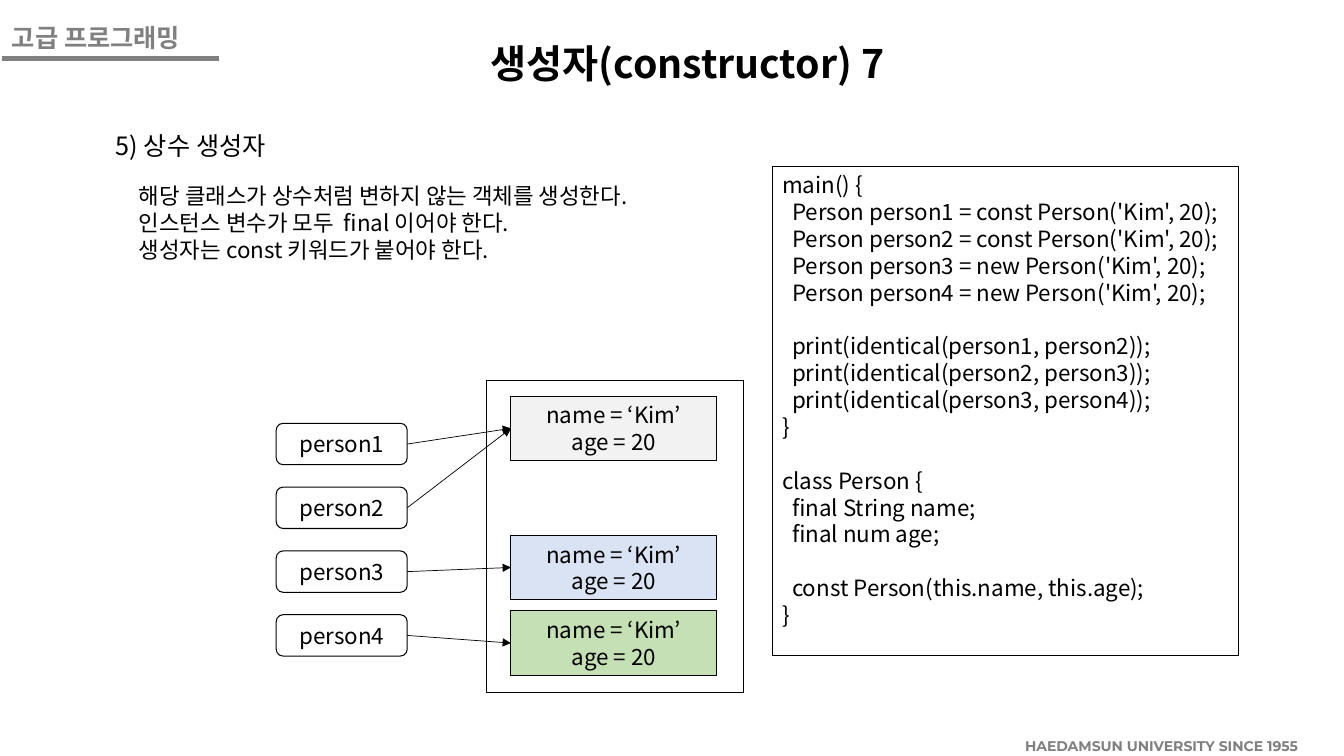
import dataclasses
import typing

import pptx
import pptx.dml.color
import pptx.enum.shapes
import pptx.enum.text
import pptx.oxml
import pptx.oxml.ns
import pptx.util

SHAPE = pptx.enum.shapes.MSO_SHAPE
ALIGN = pptx.enum.text.PP_ALIGN
ANCHOR = pptx.enum.text.MSO_ANCHOR
WIDE, HIGH = 13.33, 7.5


@dataclasses.dataclass(frozen=True)
class Theme:
    font: str = "Noto Sans CJK KR"
    brand: str = "Montserrat"
    ink: str = "000000"
    gray: str = "808080"
    white: str = "FFFFFF"
    pale: str = "F2F2F2"
    blue: str = "DAE3F3"
    green: str = "C5E0B4"
    title: float = 28
    head: float = 18
    body: float = 16
    foot: float = 10
    gap: float = 19.2  # one skipped code line
    edge: float = 0.75
    arrow: float = 0.5
    rule: float = 3.75


@dataclasses.dataclass(frozen=True)
class Area:
    """Place and size in percent of the slide's width and height."""
    x: float
    y: float
    w: float
    h: float


@dataclasses.dataclass(frozen=True)
class Label:
    area: Area
    text: str
    style: dict[str, typing.Any]


@dataclasses.dataclass(frozen=True)
class Item:
    """An object in memory and the variables that refer to it."""
    y: float
    fill: str
    names: tuple[str, ...]


THEME = Theme()

LABELS = [
    Label(Area(75.53, 96.93, 23.92, 3.73), "HAEDAMSUN UNIVERSITY SINCE 1955",
          dict(size=THEME.foot, font=THEME.brand, color=THEME.gray, bold=True)),
    Label(Area(0.15, 2.27, 15.45, 5.33), "고급 프로그래밍",
          dict(size=THEME.head, color=THEME.gray, bold=True)),
    Label(Area(35.55, 4.53, 31.2, 7.6), "생성자(constructor) 7",
          dict(size=THEME.title, bold=True, align=ALIGN.CENTER)),
    Label(Area(7.88, 16.53, 13.95, 5.33), "5) 상수 생성자", dict(size=THEME.head)),
    Label(Area(9.6, 23.47, 42.45, 12.13),
          "해당 클래스가 상수처럼 변하지 않는 객체를 생성한다.\n"
          "인스턴스 변수가 모두  final 이어야 한다.\n"
          "생성자는 const 키워드가 붙어야 한다.", {}),
]

CODE = """main() {
  Person person1 = const Person('Kim', 20);
  Person person2 = const Person('Kim', 20);
  Person person3 = new Person('Kim', 20);
  Person person4 = new Person('Kim', 20);

  print(identical(person1, person2));
  print(identical(person2, person3));
  print(identical(person3, person4));
}

class Person {
  final String name;
  final num age;

  const Person(this.name, this.age);
}"""

ITEMS = [
    Item(52.4, THEME.pale, ("person1", "person2")),
    Item(70.8, THEME.blue, ("person3",)),
    Item(80.8, THEME.green, ("person4",)),
]
FIRST, PITCH = 56, 8.44  # top and spacing of the variable boxes


def across(share: float) -> int:
    return pptx.util.Inches(WIDE * share / 100)


def down(share: float) -> int:
    return pptx.util.Inches(HIGH * share / 100)


def bounds(area: Area) -> tuple[int, int, int, int]:
    return across(area.x), down(area.y), across(area.w), down(area.h)


def tint(color: str) -> pptx.dml.color.RGBColor:
    return pptx.dml.color.RGBColor.from_string(color)


def write(shape, text: str, *, size: float = THEME.body, font: str = THEME.font,
          color: str = THEME.ink, bold: bool = False, align=ALIGN.LEFT,
          anchor=ANCHOR.TOP) -> None:
    """Fill a shape; blank lines become spacing, leading spaces an indent."""
    frame = shape.text_frame
    frame.word_wrap = True
    frame.vertical_anchor = anchor
    para, skip = frame.paragraphs[0], False
    for count, line in enumerate(text.split("\n")):
        if not line:
            skip = True
            continue
        if count:
            para = frame.add_paragraph()
        para.alignment = align
        if skip:
            para.space_before = pptx.util.Pt(THEME.gap)
            skip = False
        if line.startswith("  "):
            para._p.get_or_add_pPr().set("marL", str(pptx.util.Inches(0.1)))
        run = para.add_run()
        run.text = line.strip()
        run.font.name, run.font.size, run.font.bold = font, pptx.util.Pt(size), bold
        run.font.color.rgb = tint(color)
        east = pptx.oxml.parse_xml(
            f'<a:ea {pptx.oxml.ns.nsdecls("a")} typeface="{font}"/>')
        run._r.rPr.find(pptx.oxml.ns.qn("a:latin")).addnext(east)


def box(slide, area: Area, fill: str | None = None, kind=SHAPE.RECTANGLE):
    shape = slide.shapes.add_shape(kind, *bounds(area))
    shape.shadow.inherit = False
    if fill:
        shape.fill.solid()
        shape.fill.fore_color.rgb = tint(fill)
    else:
        shape.fill.background()
    shape.line.color.rgb = tint(THEME.ink)
    shape.line.width = pptx.util.Pt(THEME.edge)
    return shape


def link(slide, ends: tuple[int, int, int, int], color: str, width: float,
         head: bool = False):
    line = slide.shapes.add_connector(
        pptx.enum.shapes.MSO_CONNECTOR.STRAIGHT, *ends)
    line.line.color.rgb = tint(color)
    line.line.width = pptx.util.Pt(width)
    space = pptx.oxml.ns.nsdecls("a")
    if head:
        line.line._get_or_add_ln().append(
            pptx.oxml.parse_xml(f'<a:tailEnd {space} type="triangle"/>'))
    line._element.spPr.append(pptx.oxml.parse_xml(f"<a:effectLst {space}/>"))
    return line


def main() -> None:
    deck = pptx.Presentation()
    deck.slide_width, deck.slide_height = across(100), down(100)
    slide = deck.slides.add_slide(deck.slide_layouts[6])

    # Header rule and plain text
    link(slide, (across(0.15), down(7.73), across(16.28), down(7.73)),
         THEME.gray, THEME.rule)
    for label in LABELS:
        write(slide.shapes.add_textbox(*bounds(label.area)), label.text, **label.style)

    # Code listing
    write(box(slide, Area(57.45, 22, 34.73, 64.67)), CODE)

    # Memory frame, objects, variables and references
    box(slide, Area(36.22, 50.27, 19.13, 41.33), THEME.white)
    mid = dict(align=ALIGN.CENTER, anchor=ANCHOR.MIDDLE)
    row = 0
    for item in ITEMS:
        goal = box(slide, Area(38.02, item.y, 15.3, 8.53), item.fill)
        write(goal, "name = ‘Kim’\nage = 20", **mid)
        for name in item.names:
            ref = box(slide, Area(20.55, FIRST + row * PITCH, 9.75, 5.47),
                      THEME.white, SHAPE.ROUNDED_RECTANGLE)
            write(ref, name, **mid)
            line = link(slide, (0, 0, 0, 0), THEME.ink, THEME.arrow, head=True)
            line.begin_connect(ref, 3)
            line.end_connect(goal, 1)
            row += 1

    deck.save("out.pptx")


if __name__ == "__main__":
    main()
